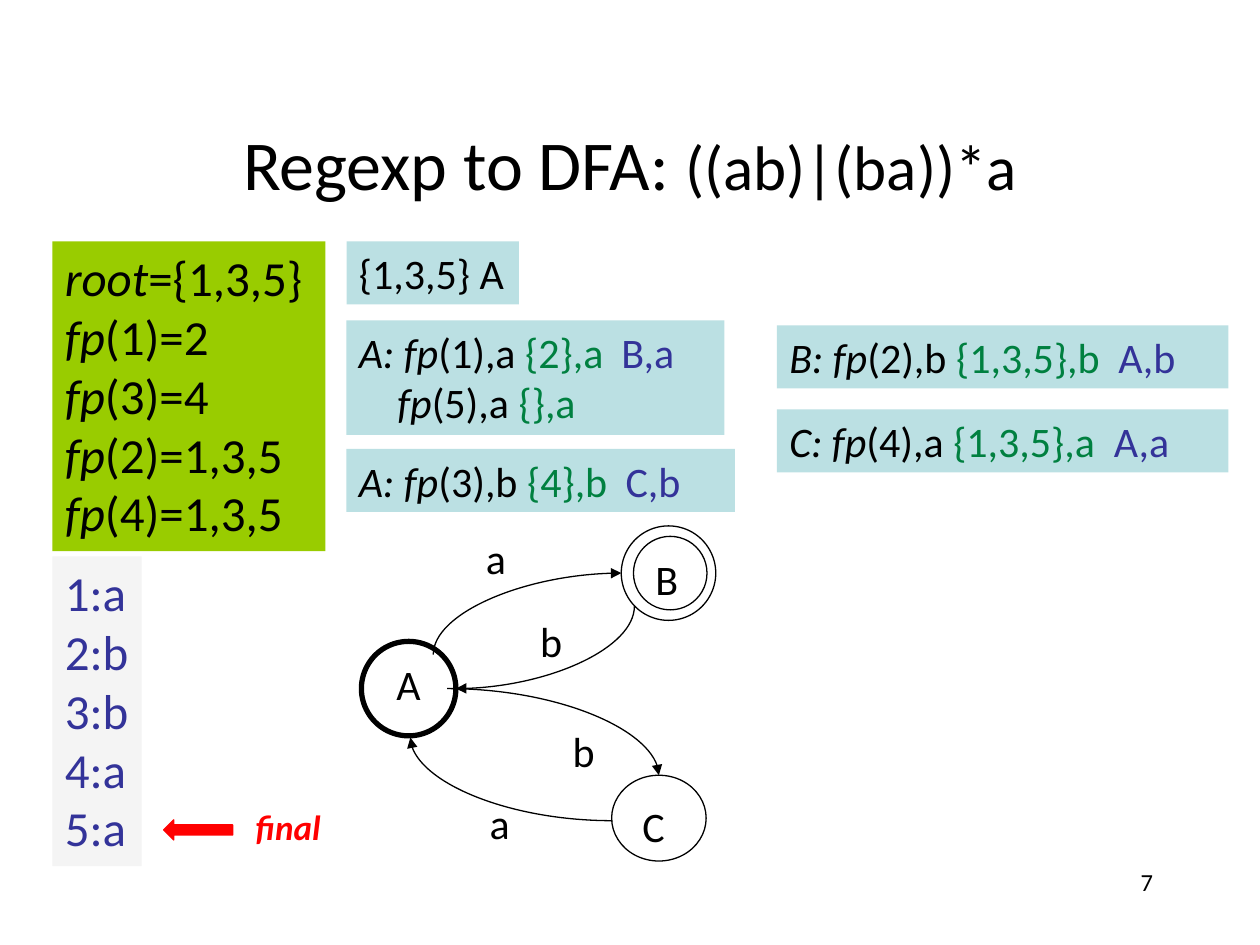
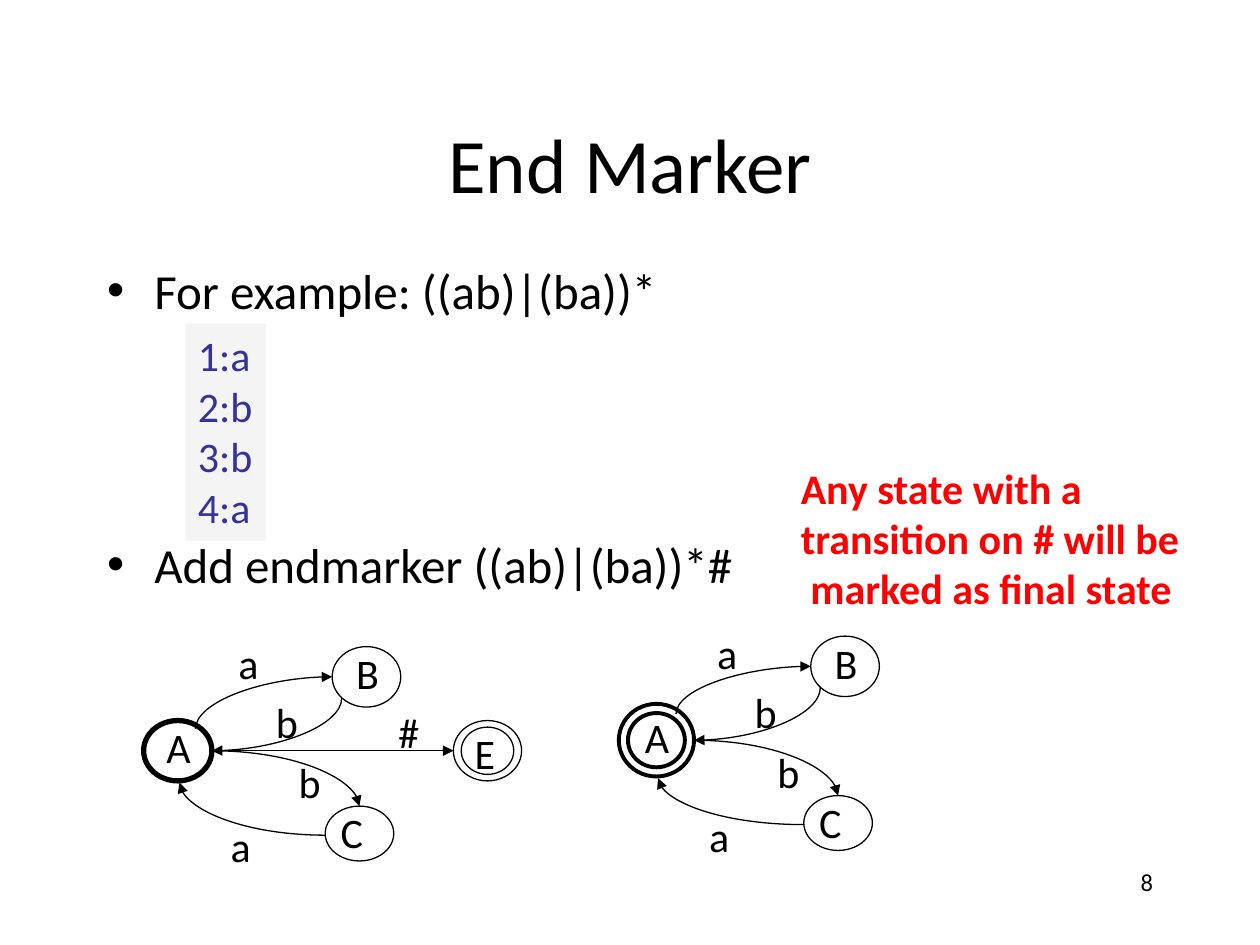
from lxml import etree
from pptx import Presentation
from pptx.dml.color import RGBColor
from pptx.enum import shapes, text
from pptx.oxml import ns
from pptx.util import Pt

BLACK = RGBColor(0x00, 0x00, 0x00)
RED = RGBColor(0xFF, 0x00, 0x00)
INDIGO = RGBColor(0x33, 0x33, 0x99)
GREEN = RGBColor(0x00, 0x80, 0x40)
LIME = RGBColor(0x99, 0xCC, 0x00)
PALE_BLUE = RGBColor(0xBB, 0xE0, 0xE3)
PALE_GRAY = RGBColor(0xF4, 0xF4, 0xF4)
FONT = "Calibri"

TITLE_BOX = (54, 48, 612, 90)
NUMBER_BOX = (516, 492, 150, 36)
TITLE_ONLY, TITLE_AND_BODY = 5, 1

# The automaton is laid out in this frame and stretched to the box it is given.
FRAME_WIDTH, FRAME_HEIGHT = 202.5, 191.5
LARGE_LABELS = [("A", 27, 90), ("B", 174.5, 30), ("C", 167, 171.5), ("a", 77, 18.5),
                ("b", 108.5, 65.5), ("b", 127, 128.5), ("a", 79, 169.5)]
SMALL_LABELS = [("A", 20, 57.5), ("B", 128, 15), ("C", 119, 106), ("a", 60, 9.5),
                ("b", 82, 43), ("b", 95, 77.5), ("a", 55.5, 114)]


def points(*lengths):
    return [Pt(length) for length in lengths]


def write(frame, lines, size=24, color=BLACK, bold=False, italic=False,
          align=None, tab=None, indents=None, gaps=None):
    """Fill a frame; a line is a string or a list of (string, format) runs.

    indents and gaps map a line's index to its left indent and space before.
    """
    for index, line in enumerate(lines):
        paragraph = frame.paragraphs[0] if index == 0 else frame.add_paragraph()
        properties = paragraph._p.get_or_add_pPr()
        if tab:
            stops = etree.SubElement(properties, ns.qn("a:tabLst"))
            etree.SubElement(stops, ns.qn("a:tab"), pos=str(Pt(tab)), algn="l")
        if indents and index in indents:
            properties.set("marL", str(Pt(indents[index])))
        if align is not None:
            paragraph.alignment = align
        paragraph.space_before = Pt((gaps or {}).get(index, 0))
        for words, changes in [(line, {})] if isinstance(line, str) else line:
            style = {"size": size, "color": color, "bold": bold, "italic": italic, **changes}
            run = paragraph.add_run()
            run.text = words
            run.font.name = FONT
            run.font.size = Pt(style["size"])
            run.font.bold = style["bold"]
            run.font.italic = style["italic"]
            run.font.color.rgb = style["color"]


def add_text(slide, box, lines, fill=None, wrap=False, **formats):
    panel = slide.shapes.add_textbox(*points(*box))
    panel.text_frame.word_wrap = wrap
    if fill is not None:
        panel.fill.solid()
        panel.fill.fore_color.rgb = fill
    write(panel.text_frame, lines, **formats)


def add_label(slide, words, center_x, center_y):
    add_text(slide, (center_x - 14, center_y - 18, 28, 36), [words],
             align=text.PP_ALIGN.CENTER)


def add_ellipse(slide, center_x, center_y, width, height, weight=0.75):
    ring = slide.shapes.add_shape(
        shapes.MSO_SHAPE.OVAL,
        *points(center_x - width / 2, center_y - height / 2, width, height))
    ring.shadow.inherit = False
    ring.fill.background()
    ring.line.color.rgb = BLACK
    ring.line.width = Pt(weight)


def add_arrow(slide, start, end, curved=True, upright=False):
    """Draw an arrow; an upright one leaves its start vertically."""
    if upright:
        # Turn the chord back a quarter, as the shape is then rotated by 90 degrees.
        middle_x, middle_y = (start[0] + end[0]) / 2, (start[1] + end[1]) / 2
        half_x, half_y = (end[1] - start[1]) / 2, (start[0] - end[0]) / 2
        start = (middle_x - half_x, middle_y - half_y)
        end = (middle_x + half_x, middle_y + half_y)
    kind = shapes.MSO_CONNECTOR.CURVE if curved else shapes.MSO_CONNECTOR.STRAIGHT
    arrow = slide.shapes.add_connector(kind, *points(*start, *end))
    arrow.line.color.rgb = BLACK
    arrow.line.width = Pt(0.75)
    properties = arrow._element.spPr
    if curved:
        properties.find(ns.qn("a:prstGeom")).set("prst", "curvedConnector2")
    if upright:
        properties.find(ns.qn("a:xfrm")).set("rot", str(90 * 60000))
    etree.SubElement(properties.find(ns.qn("a:ln")), ns.qn("a:tailEnd"), type="triangle")
    etree.SubElement(properties, ns.qn("a:effectLst"))


def add_automaton(slide, box, labels, start_size, start_weight=3, overlap=0):
    """Draw states A, B, C and the four arrows between them; return A's centre."""
    left, top, width, height = box
    scale_x, scale_y = width / FRAME_WIDTH, height / FRAME_HEIGHT

    def place(x, y):
        return left + x * scale_x, top + y * scale_y

    start_x, start_y = place(27, 93)
    start_width, start_height = start_size
    right = start_x + start_width / 2
    add_ellipse(slide, start_x, start_y, *start_size, weight=start_weight)
    add_ellipse(slide, *place(175.5, 27), 54 * scale_x, 54 * scale_y)
    add_ellipse(slide, *place(170, 167), 54 * scale_x, 49 * scale_y)

    leave_top = (start_x + 0.26 * start_width, start_y - 0.36 * start_height)
    add_arrow(slide, leave_top, place(148.5, 27), upright=True)
    add_arrow(slide, place(156, 46), (right, start_y), upright=True)
    add_arrow(slide, (right - overlap, start_y), place(170, 142.5))
    add_arrow(slide, place(143.5, 168.5), (start_x + 1, start_y + start_height / 2 + 1))
    for words, x, y in labels:
        add_label(slide, words, left + x, top + y)
    return start_x, start_y


def add_titled_slide(deck, layout, title, number, size=44):
    slide = deck.slides.add_slide(deck.slide_layouts[layout])
    heading = slide.shapes.title
    heading.left, heading.top, heading.width, heading.height = points(*TITLE_BOX)
    heading.text_frame.auto_size = text.MSO_AUTO_SIZE.NONE
    write(heading.text_frame, [title], size=size, align=text.PP_ALIGN.CENTER)
    add_text(slide, NUMBER_BOX, [number], size=14, wrap=True, align=text.PP_ALIGN.RIGHT)
    return slide


def step(state, position, symbol, targets, result=None):
    """Runs of one line of the subset construction."""
    runs = [(f"{state}fp", {"italic": True}), (f"({position}),{symbol} ", {}),
            (f"{{{targets}}},{symbol}", {"color": GREEN})]
    if result:
        runs.append((f"\t{result},{symbol}", {"color": INDIGO}))
    return runs


def add_follow_sets(slide, box):
    sets = [("root", "={1,3,5}"), ("fp", "(1)=2"), ("fp", "(3)=4"),
            ("fp", "(2)=1,3,5"), ("fp", "(4)=1,3,5")]
    lines = [[(name, {"italic": True}), (value, {})] for name, value in sets]
    add_text(slide, box, lines, fill=LIME, size=28)


def add_positions(slide, box, symbols, size):
    lines = [f"{position}:{symbol}" for position, symbol in enumerate(symbols, 1)]
    add_text(slide, box, lines, fill=PALE_GRAY, size=size, color=INDIGO)


def add_steps(slide):
    add_text(slide, (198, 138, 98.5, 36), ["{1,3,5} A"], fill=PALE_BLUE)
    rows = [
        ((198, 183, 216, 65.5), 150,
         [step("A: ", 1, "a", "2", "B"), step("", 5, "a", "")]),
        ((198, 256.5, 222, 36), 152.5, [step("A: ", 3, "b", "4", "C")]),
        ((444, 186, 258, 36), 188, [step("B: ", 2, "b", "1,3,5", "A")]),
        ((444, 234, 258, 36), 185.5, [step("C: ", 4, "a", "1,3,5", "A")]),
    ]
    for box, tab, lines in rows:
        add_text(slide, box, lines, fill=PALE_BLUE, wrap=True, tab=tab, indents={1: 22})


def add_final_marker(slide, left, top):
    pointer = slide.shapes.add_shape(
        shapes.MSO_SHAPE.LEFT_ARROW, *points(left, top + 11.5, 39.5, 11.5))
    pointer.shadow.inherit = False
    pointer.fill.solid()
    pointer.fill.fore_color.rgb = RED
    pointer.line.color.rgb = RED
    pointer.line.width = Pt(0.75)
    add_text(slide, (left + 45.5, top, 54.5, 31.5), ["final"],
             size=20, color=RED, bold=True, italic=True)


def build_conversion(deck):
    title = [("Regexp to DFA: ", {}), ("((ab)|(ba))*a", {"size": 36})]
    slide = add_titled_slide(deck, TITLE_ONLY, title, "7", size=40)
    add_follow_sets(slide, (30, 138, 156, 177))
    add_positions(slide, (30, 318, 51, 177), "abbaa", size=28)
    add_steps(slide)
    left, top = 206.5, 300.5
    add_automaton(slide, (left, top, FRAME_WIDTH, FRAME_HEIGHT), LARGE_LABELS,
                  start_size=(54, 54), overlap=5)
    add_ellipse(slide, left + 176.5, top + 27, 42, 42)
    add_final_marker(slide, 93.5, 457)


def add_marker_state(slide, start_x, start_y, start_radius):
    """Draw accepting state E and its arrow on # to the right of state A."""
    center_x = start_x + 177
    add_ellipse(slide, center_x, start_y, 39, 34.5)
    add_ellipse(slide, center_x, start_y, 30, 27)
    add_arrow(slide, (start_x + start_radius, start_y), (center_x - 19.5, start_y),
              curved=False)
    add_label(slide, "#", start_x + 132, start_y - 11)
    add_label(slide, "E", center_x - 1.5, start_y + 1)


def build_end_marker(deck):
    slide = add_titled_slide(deck, TITLE_AND_BODY, "End Marker", "8")
    body = slide.placeholders[1]
    body.left, body.top, body.width, body.height = points(54, 145, 612, 324)
    body.text_frame.auto_size = text.MSO_AUTO_SIZE.NONE
    write(body.text_frame, ["For example: ((ab)|(ba))*", "Add endmarker ((ab)|(ba))*#"],
          size=28, gaps={1: 123})
    add_positions(slide, (106, 185, 46, 124), "abba", size=24)

    width, height = 147, 122.5
    start = add_automaton(slide, (82, 369.5, width, height), SMALL_LABELS,
                          start_size=(39, 34.5))
    add_marker_state(slide, *start, start_radius=19.5)
    merged = add_automaton(slide, (355.5, 363.5, width, height), SMALL_LABELS,
                           start_size=(43, 41.5), start_weight=2.25)
    add_ellipse(slide, *merged, 32.5, 31, weight=2.25)

    add_text(slide, (450.5, 260.5, 239, 94.5),
             ["Any state with a", "transition on # will be", "marked as final state"],
             color=RED, bold=True, indents={2: 5.5})


def main():
    deck = Presentation()
    deck.slide_width, deck.slide_height = points(720, 540)
    build_conversion(deck)
    build_end_marker(deck)
    deck.save("out.pptx")


if __name__ == "__main__":
    main()
